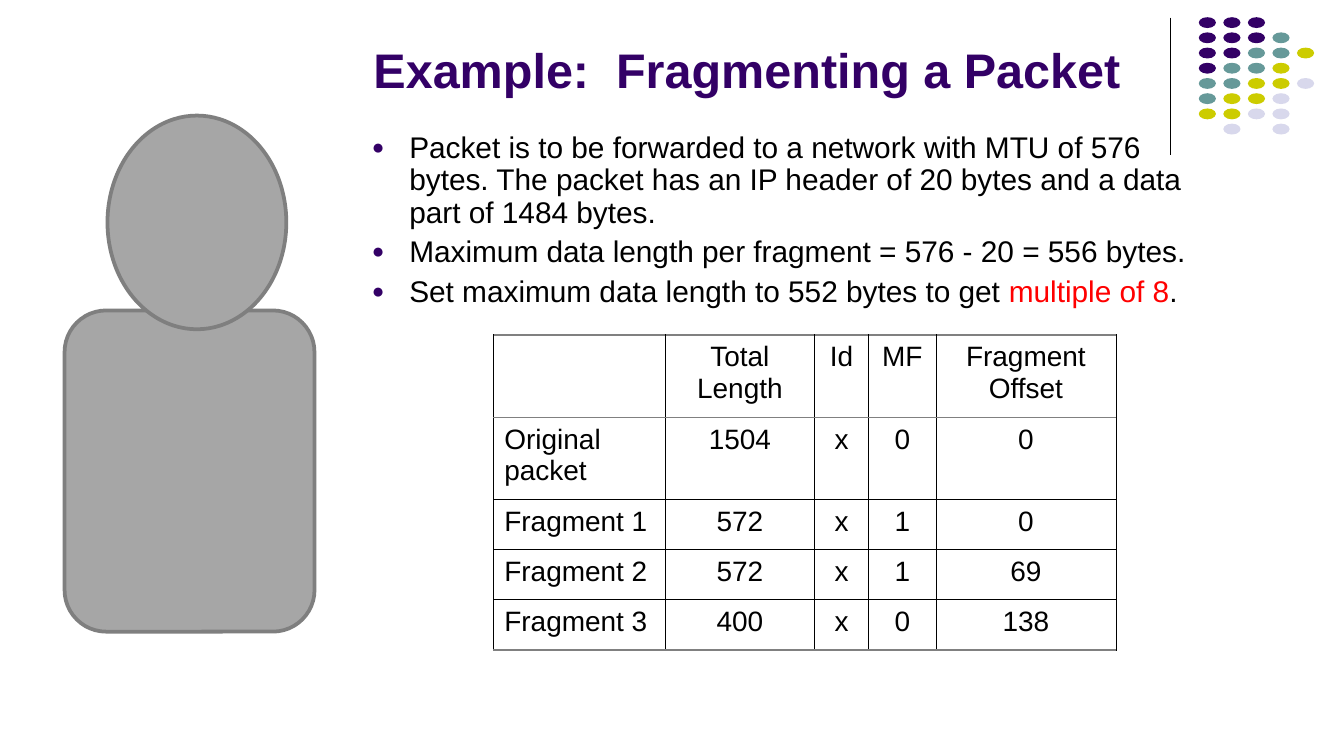
from lxml import etree
from pptx import Presentation
from pptx.dml.color import RGBColor
from pptx.enum.shapes import MSO_CONNECTOR, MSO_SHAPE
from pptx.enum.text import MSO_ANCHOR, PP_ALIGN
from pptx.oxml.ns import qn
from pptx.util import Pt

ELLIPSE, ROUNDED = MSO_SHAPE.OVAL, MSO_SHAPE.ROUNDED_RECTANGLE
STRAIGHT = MSO_CONNECTOR.STRAIGHT
TOP, BOTTOM = MSO_ANCHOR.TOP, MSO_ANCHOR.BOTTOM
LEFT, CENTER = PP_ALIGN.LEFT, PP_ALIGN.CENTER

BLACK = RGBColor(0x00, 0x00, 0x00)
RED = RGBColor(0xFF, 0x00, 0x00)
PURPLE = RGBColor(0x33, 0x00, 0x66)
TEAL = RGBColor(0x66, 0x99, 0x99)
OLIVE = RGBColor(0xCC, 0xCC, 0x00)
LAVENDER = RGBColor(0xD8, 0xD8, 0xEC)
FIGURE_FILL = RGBColor(0xA6, 0xA6, 0xA6)
FIGURE_LINE = RGBColor(0x7F, 0x7F, 0x7F)
GRAY = RGBColor(0x80, 0x80, 0x80)

TITLE = "Example:  Fragmenting a Packet"
BULLETS = [
    [("Packet is to be forwarded to a network with MTU of 576 bytes. "
      "The packet has an IP header of 20 bytes and a data part of 1484 bytes.", BLACK)],
    [("Maximum data length per fragment = 576 - 20 = 556 bytes.", BLACK)],
    [("Set maximum data length to 552 bytes to get ", BLACK),
     ("multiple of 8", RED), (".", BLACK)],
]
ROWS = [
    ("", "Total Length", "Id", "MF", "Fragment Offset"),
    ("Original packet", "1504", "x", "0", "0"),
    ("Fragment 1", "572", "x", "1", "0"),
    ("Fragment 2", "572", "x", "1", "69"),
    ("Fragment 3", "400", "x", "0", "138"),
]
COLUMN_WIDTHS = [92, 80, 29, 36, 96.5]
ROW_HEIGHTS = [44, 44, 27, 27, 27]
DOT_ROWS = ["PPP", "PPPT", "PPTTO", "PTTO", "TTOOL", "TOOL", "OOLL", " L L"]
DOT_COLORS = {"P": PURPLE, "T": TEAL, "O": OLIVE, "L": LAVENDER}
FIGURE = [(ROUNDED, 34.6, 166.3, 133.9, 172.1), (ELLIPSE, 57.6, 61.9, 95.8, 114.5)]

deck = Presentation()
deck.slide_width, deck.slide_height = Pt(720), Pt(405)
page = deck.slides.add_slide(deck.slide_layouts[6])


def add_filled(kind, left, top, width, height, color):
    shape = page.shapes.add_shape(kind, Pt(left), Pt(top), Pt(width), Pt(height))
    shape.shadow.inherit = False
    shape.fill.solid()
    shape.fill.fore_color.rgb = color
    shape.line.fill.background()
    return shape


def add_text_frame(left, top, width, height, anchor):
    box = page.shapes.add_textbox(Pt(left), Pt(top), Pt(width), Pt(height))
    frame = box.text_frame
    frame.word_wrap = True
    frame.vertical_anchor = anchor
    return frame


def style(span, size, color, bold=False):
    span.font.name = "Arial"
    span.font.size = Pt(size)
    span.font.color.rgb = color
    span.font.bold = bold


def add_bullet(para):
    props = para._p.get_or_add_pPr()
    props.set("marL", str(Pt(20)))
    props.set("indent", str(-Pt(20)))
    color = etree.SubElement(props, qn("a:buClr"))
    etree.SubElement(color, qn("a:srgbClr"), val=str(PURPLE))
    etree.SubElement(props, qn("a:buSzPct"), val="70000")
    etree.SubElement(props, qn("a:buFont"), typeface="Arial")
    etree.SubElement(props, qn("a:buChar"), char="●")


def set_borders(cell, borders):
    props = cell._tc.get_or_add_tcPr()
    for position, (tag, (color, width)) in enumerate(borders.items()):
        line = etree.Element(qn(f"a:{tag}"), w=str(Pt(width)))
        fill = etree.SubElement(line, qn("a:solidFill"))
        etree.SubElement(fill, qn("a:srgbClr"), val=str(color))
        props.insert(position, line)


divider = page.shapes.add_connector(STRAIGHT, Pt(627.1), Pt(9.4), Pt(627.1), Pt(82.8))
divider.line.color.rgb = BLACK
divider.line.width = Pt(0.74)
etree.SubElement(divider._element.spPr, qn("a:effectLst"))

for row, codes in enumerate(DOT_ROWS):
    for column, code in enumerate(codes):
        if code in DOT_COLORS:
            add_filled(ELLIPSE, 642.2 + 13.15 * column, 9.2 + 8.15 * row, 9.2, 5.8,
                       DOT_COLORS[code])

title = add_text_frame(193, 7.2, 437, 46.8, BOTTOM)
title.margin_bottom = Pt(1.5)
title.text = TITLE
style(title.paragraphs[0].runs[0], 26, PURPLE, True)

body = add_text_frame(192.2, 67.7, 458, 112.3, TOP)
for index, spans in enumerate(BULLETS):
    para = body.add_paragraph() if index else body.paragraphs[0]
    para.line_spacing = 0.9
    para.space_before = Pt(4)
    add_bullet(para)
    for words, color in spans:
        span = para.add_run()
        span.text = words
        style(span, 16, color)

table = page.shapes.add_table(len(ROWS), len(COLUMN_WIDTHS), Pt(264.4), Pt(179.4),
                              Pt(sum(COLUMN_WIDTHS)), Pt(sum(ROW_HEIGHTS))).table
table.first_row = table.horz_banding = False
for column, width in zip(table.columns, COLUMN_WIDTHS):
    column.width = Pt(width)
THIN, THIN_GRAY, EDGE = (BLACK, 0.45), (GRAY, 0.45), (GRAY, 0.96)
RULES = [EDGE, THIN_GRAY, THIN, THIN, THIN, EDGE]
for row, values in enumerate(ROWS):
    table.rows[row].height = Pt(ROW_HEIGHTS[row])
    for column, value in enumerate(values):
        cell = table.cell(row, column)
        cell.fill.background()
        cell.margin_left = cell.margin_right = Pt(5.8)
        cell.margin_top = cell.margin_bottom = Pt(3.6)
        set_borders(cell, {"lnL": THIN, "lnR": THIN, "lnT": RULES[row], "lnB": RULES[row + 1]})
        if value:
            para = cell.text_frame.paragraphs[0]
            para.text = value
            para.alignment = CENTER if column else LEFT
            style(para.runs[0], 15, BLACK)

for kind, *place in FIGURE:
    part = add_filled(kind, *place, FIGURE_FILL)
    part.line.color.rgb = FIGURE_LINE
    part.line.width = Pt(2)

deck.save("out.pptx")
